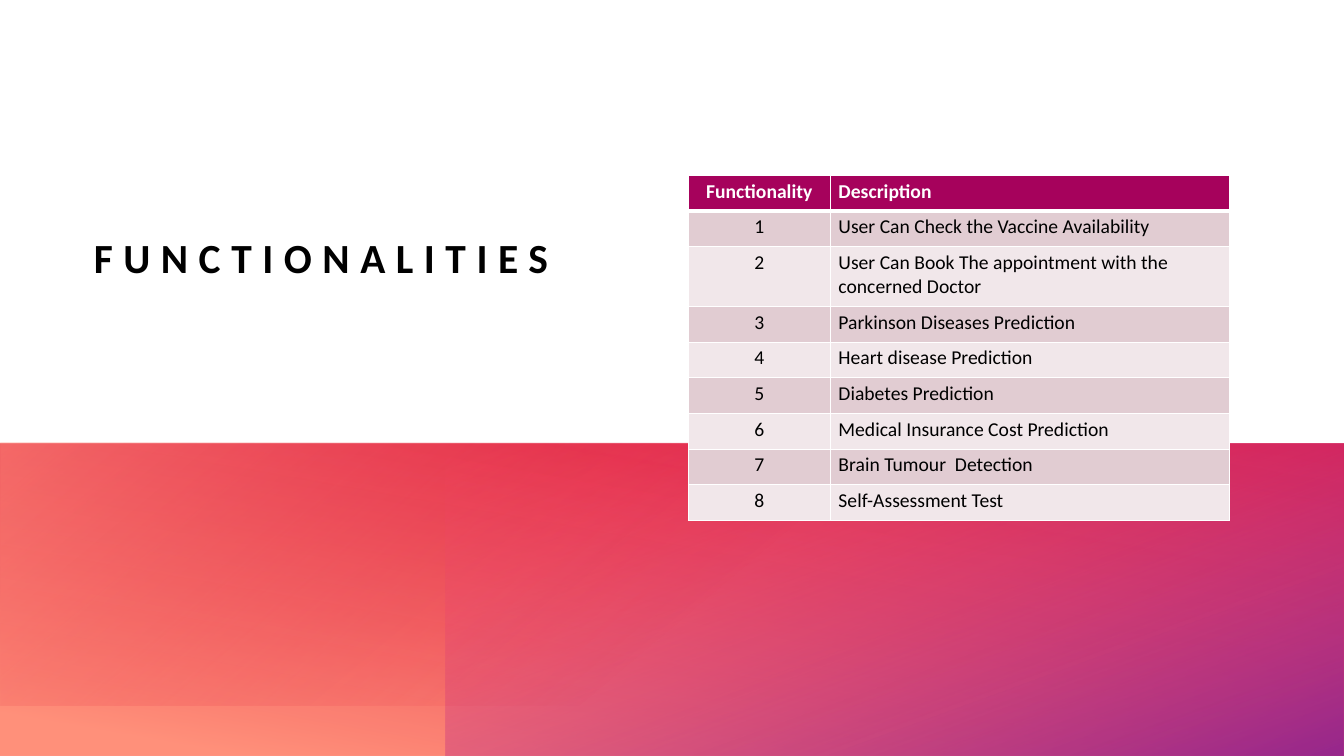
from dataclasses import dataclass

from lxml import etree
from pptx import Presentation
from pptx import util as u
from pptx.dml.color import RGBColor
from pptx.enum import shapes, text
from pptx.oxml import ns


@dataclass(frozen=True)
class Theme:
    font: str = "Calibri"
    title_size: float = 29.6
    table_size: float = 14
    title_tracking: int = 750
    ink: str = "000000"
    paper: str = "FFFFFF"
    header: str = "A6025C"
    bands: tuple = ("E1CCD2", "F1E7EA")
    salmon: str = "FF907A"
    red: str = "DA002F"
    pink: str = "FF5076"
    purple: str = "92248E"


class SlideBuilder:
    def __init__(self, deck, theme):
        self.theme = theme
        self.column = deck.slide_width / 100
        self.row = deck.slide_height / 100
        self.page = deck.slides.add_slide(deck.slide_layouts[6])

    def place(self, left, top, width, height):
        return (u.Emu(round(left * self.column)), u.Emu(round(top * self.row)),
                u.Emu(round(width * self.column)), u.Emu(round(height * self.row)))

    def set_words(self, frame, words, size, color, bold=False, align=text.PP_ALIGN.LEFT):
        frame.text = words
        para = frame.paragraphs[0]
        para.alignment = align
        span = para.runs[0]
        span.font.name = self.theme.font
        span.font.size = u.Pt(size)
        span.font.bold = bold
        span.font.color.rgb = RGBColor.from_string(color)
        return para, span

    def title(self, words, *area):
        box = self.page.shapes.add_textbox(*self.place(*area))
        frame = box.text_frame
        frame.word_wrap = True
        frame.vertical_anchor = text.MSO_ANCHOR.BOTTOM
        frame.margin_left = frame.margin_right = frame.margin_top = frame.margin_bottom = 0
        para, span = self.set_words(frame, words, self.theme.title_size, self.theme.ink,
                                    True, text.PP_ALIGN.CENTER)
        para.space_after = u.Pt(6)
        span.font._element.set("spc", str(self.theme.title_tracking))

    def gradient_panel(self, area, stops, angle):
        panel = self.page.shapes.add_shape(shapes.MSO_SHAPE.RECTANGLE, *self.place(*area))
        panel.shadow.inherit = False
        panel.line.fill.background()
        panel.rotation = 180
        properties = panel._element.spPr
        properties.find(ns.qn("a:xfrm")).set("flipH", "1")
        panel.fill.gradient()
        gradient = properties.find(ns.qn("a:gradFill"))
        for child in list(gradient):
            gradient.remove(child)
        stop_list = etree.SubElement(gradient, ns.qn("a:gsLst"))
        for position, color, opacity in stops:
            stop = etree.SubElement(stop_list, ns.qn("a:gs"), pos=str(position * 1000))
            shade = etree.SubElement(stop, ns.qn("a:srgbClr"), val=color)
            etree.SubElement(shade, ns.qn("a:alpha"), val=str(opacity * 1000))
        etree.SubElement(gradient, ns.qn("a:lin"), ang=str(angle * 60000), scaled="0")

    def border(self, cell, side, points):
        line = etree.SubElement(cell._tc.get_or_add_tcPr(), ns.qn(f"a:ln{side}"),
                                w=str(int(u.Pt(points))))
        fill = etree.SubElement(line, ns.qn("a:solidFill"))
        etree.SubElement(fill, ns.qn("a:srgbClr"), val=self.theme.paper)

    def table(self, left, top, widths, heights, rows):
        area = self.place(left, top, sum(widths), sum(heights))
        table = self.page.shapes.add_table(len(rows), len(widths), *area).table
        table.horz_banding = False
        for column, width in zip(table.columns, widths):
            column.width = u.Emu(round(width * self.column))
        for index, (height, words) in enumerate(zip(heights, rows)):
            table.rows[index].height = u.Emu(round(height * self.row))
            for position, entry in enumerate(words):
                self.cell(table.cell(index, position), entry, index, position)

    def cell(self, cell, words, index, position):
        heading = index == 0
        for side in "LRTB":
            thick = (heading and side == "B") or (index == 1 and side == "T")
            self.border(cell, side, 3 if thick else 1)
        fill = self.theme.header if heading else self.theme.bands[(index - 1) % 2]
        cell.fill.solid()
        cell.fill.fore_color.rgb = RGBColor.from_string(fill)
        cell.margin_left = cell.margin_right = u.Inches(0.08)
        cell.margin_top = cell.margin_bottom = u.Inches(0.04)
        self.set_words(cell.text_frame, words, self.theme.table_size,
                       self.theme.paper if heading else self.theme.ink, heading,
                       text.PP_ALIGN.LEFT if position else text.PP_ALIGN.CENTER)


FUNCTIONALITIES = [
    "User Can Check the Vaccine Availability",
    "User Can Book The appointment with the concerned Doctor",
    "Parkinson Diseases Prediction",
    "Heart disease Prediction",
    "Diabetes Prediction",
    "Medical Insurance Cost Prediction",
    "Brain Tumour  Detection",
    "Self-Assessment Test",
]


def main():
    deck = Presentation()
    deck.slide_width = u.Inches(13.33)
    deck.slide_height = u.Inches(7.5)
    theme = Theme()
    slide = SlideBuilder(deck, theme)

    slide.title("FUNCTIONALITIES", 3.08, 26.13, 41.64, 11.2)

    slide.gradient_panel((0, 58.67, 100, 41.33),
                         [(8, theme.salmon, 100), (100, theme.red, 90)], 80)
    slide.gradient_panel((33.15, 58.67, 66.85, 41.33),
                         [(0, theme.pink, 0), (99, theme.purple, 94)], 290)
    slide.gradient_panel((0, 58.53, 69.24, 34.8),
                         [(0, theme.salmon, 43), (72, theme.red, 0)], 310)

    rows = [("Functionality", "Description")]
    rows += [(str(number), words) for number, words in enumerate(FUNCTIONALITIES, 1)]
    heights = [7.9 if index == 2 else 4.72 for index in range(len(rows))]
    slide.table(51.22, 23.2, (10.57, 29.7), heights, rows)

    deck.save("out.pptx")


if __name__ == "__main__":
    main()
